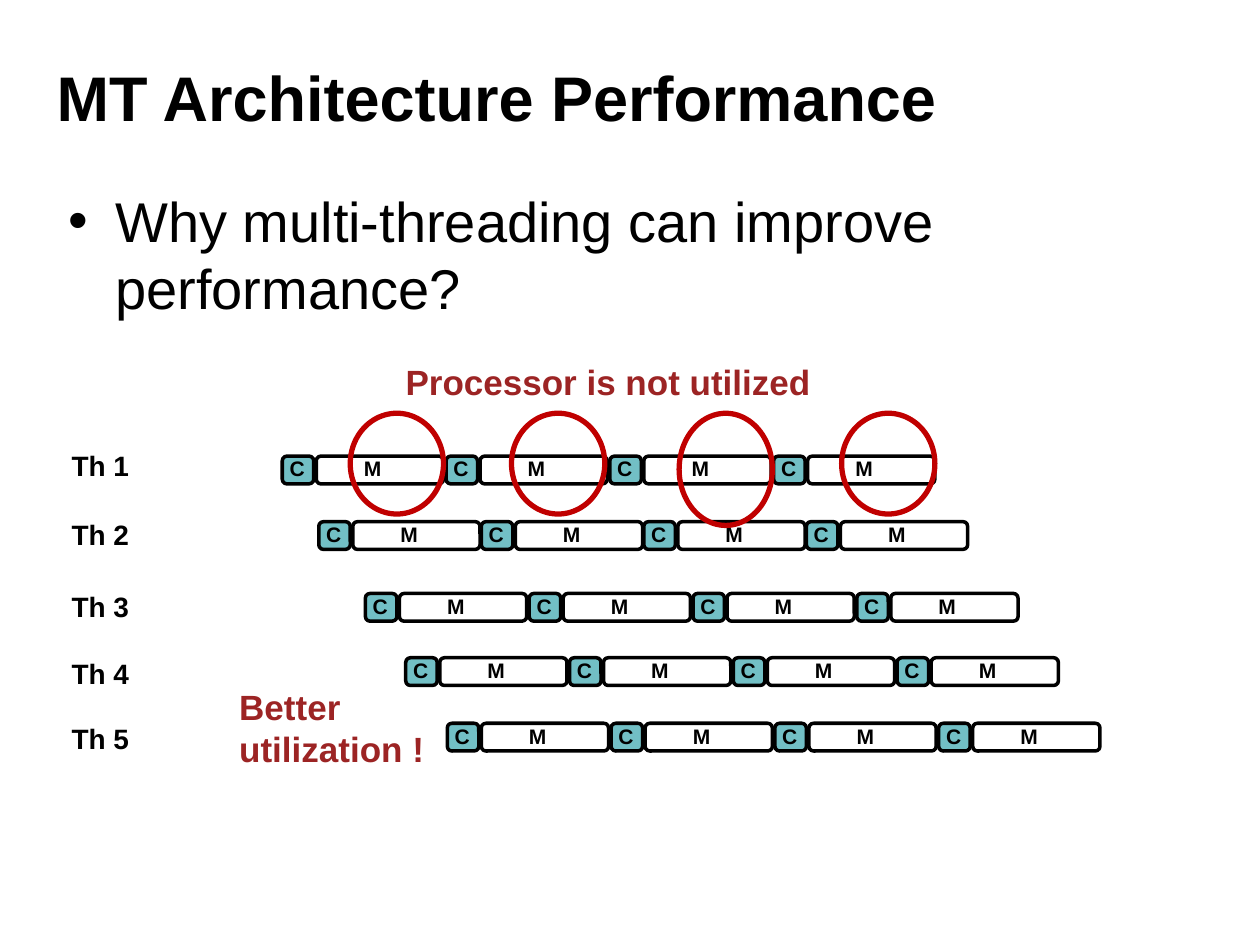
from dataclasses import dataclass

from pptx import Presentation
from pptx.dml.color import RGBColor
from pptx.enum.shapes import MSO_SHAPE
from pptx.enum.text import MSO_ANCHOR, MSO_AUTO_SIZE, PP_ALIGN
from pptx.slide import Slide
from pptx.text.text import TextFrame
from pptx.util import Emu, Pt

PX = 9144  # 100 px to the inch
FONT = "Arial"
HEX = {"ink": "000000", "teal": "72BFC5", "ring": "C00000", "note": "9C2424"}

CYCLES = 4
CELL_H = 22
C_WIDE, M_WIDE, M_GAP = 25, 101, 27


@dataclass
class Box:
    left: int
    top: int
    wide: int
    high: int

    def emu(self) -> list[Emu]:
        return [Emu(n * PX) for n in (self.left, self.top, self.wide, self.high)]


@dataclass
class Thread:
    name: str
    label_top: int
    left: int
    top: int
    step: int = 130


THREADS = [
    Thread("Th 1", 351, 224, 362),
    Thread("Th 2", 406, 253, 414, 129),
    Thread("Th 3", 463, 290, 471),
    Thread("Th 4", 516, 322, 522),
    Thread("Th 5", 568, 355, 574),
]
RINGS = [
    Box(278, 328, 74, 80),
    Box(406, 328, 74, 80),
    Box(539, 328, 74, 89),
    Box(668, 328, 74, 80),
]


def color(name: str) -> RGBColor:
    return RGBColor.from_string(HEX[name])


def style(frame: TextFrame, size: int, bold: bool, ink: str = "ink") -> None:
    for par in frame.paragraphs:
        par.alignment = PP_ALIGN.LEFT
        for run in par.runs:
            run.font.name = FONT
            run.font.size = Pt(size)
            run.font.bold = bold
            run.font.color.rgb = color(ink)


def fill_holder(slide: Slide, index: int, box: Box, text: str, size: int, bold: bool) -> TextFrame:
    """Move a template placeholder and give it its text."""
    holder = slide.placeholders[index]
    holder.left, holder.top, holder.width, holder.height = box.emu()
    frame = holder.text_frame
    frame.text = text
    style(frame, size, bold)
    return frame


def add_label(slide: Slide, box: Box, text: str, size: int, ink: str = "ink", wrap: bool = True) -> None:
    frame = slide.shapes.add_textbox(*box.emu()).text_frame
    frame.word_wrap = wrap
    frame.auto_size = MSO_AUTO_SIZE.SHAPE_TO_FIT_TEXT
    frame.text = text
    style(frame, size, True, ink)


def add_shape(slide: Slide, kind: MSO_SHAPE, box: Box, line: str, width: int, fill: str = "") -> None:
    shape = slide.shapes.add_shape(kind, *box.emu())
    shape.shadow.inherit = False
    shape.line.color.rgb = color(line)
    shape.line.width = Pt(width)
    if fill:
        shape.fill.solid()
        shape.fill.fore_color.rgb = color(fill)
    else:
        shape.fill.background()


def add_thread(slide: Slide, row: Thread) -> None:
    """Draw a thread's name and its alternating compute and memory cells."""
    add_label(slide, Box(47, row.label_top, 136, 37), row.name, 16)
    kind = MSO_SHAPE.FLOWCHART_ALTERNATE_PROCESS
    text_top = row.top - 5
    for turn in range(CYCLES):
        left = row.left + turn * row.step
        add_shape(slide, kind, Box(left, row.top, C_WIDE, CELL_H), "ink", 2, "teal")
        add_label(slide, Box(left - 4, text_top, 38, 34), "C", 12, wrap=False)
        left += M_GAP
        add_shape(slide, kind, Box(left, row.top, M_WIDE, CELL_H), "ink", 2)
        add_label(slide, Box(left + 28, text_top, 53, 34), "M", 12, wrap=False)


def main() -> None:
    deck = Presentation()
    deck.slide_width, deck.slide_height = Emu(1000 * PX), Emu(750 * PX)
    slide = deck.slides.add_slide(deck.slide_layouts[1])

    title = fill_holder(slide, 0, Box(35, 35, 900, 83), "MT Architecture Performance", 36, True)
    title.vertical_anchor = MSO_ANCHOR.MIDDLE
    fill_holder(slide, 1, Box(44, 143, 913, 548),
                "Why multi-threading can improve performance?", 32, False)

    for row in THREADS:
        add_thread(slide, row)
    add_label(slide, Box(312, 281, 342, 44), "Processor is not utilized", 20, "note")
    add_label(slide, Box(180, 539, 172, 77), "Better utilization !", 20, "note")
    for ring in RINGS:
        add_shape(slide, MSO_SHAPE.OVAL, ring, "ring", 3)

    deck.save("out.pptx")


if __name__ == "__main__":
    main()
